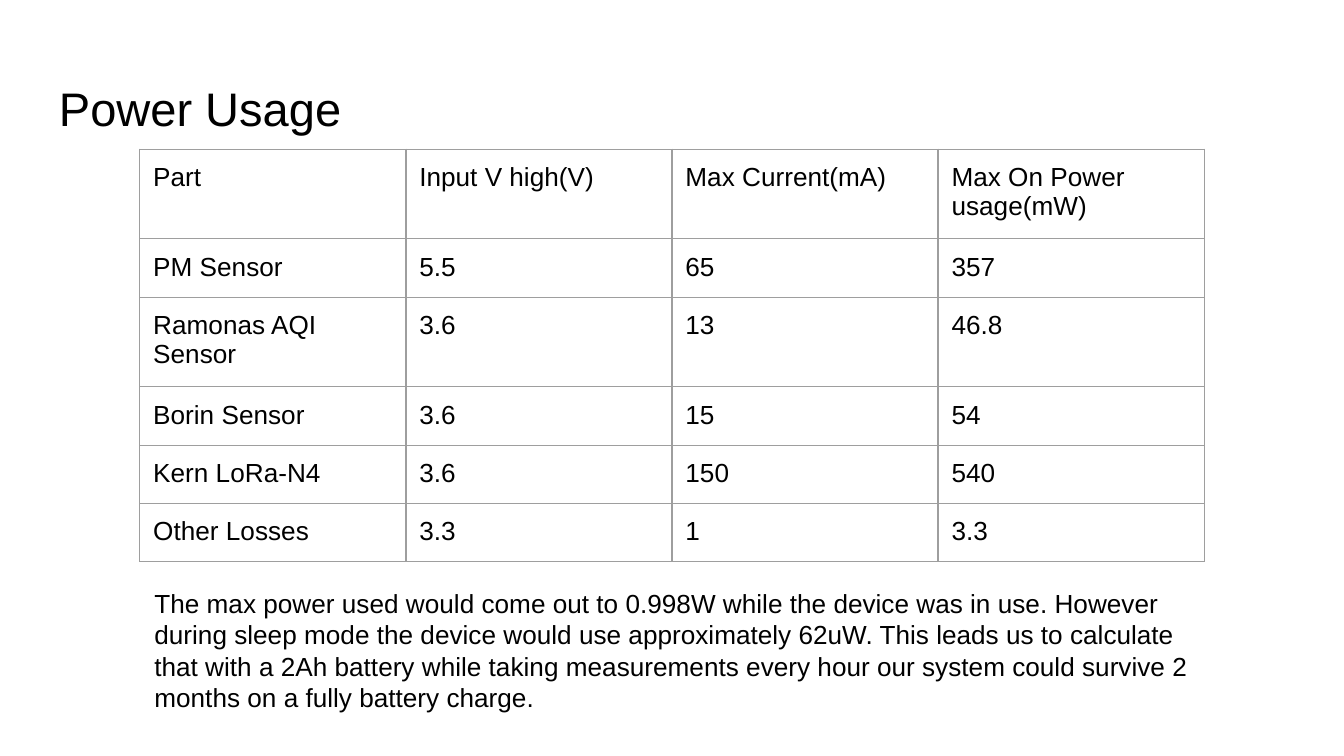
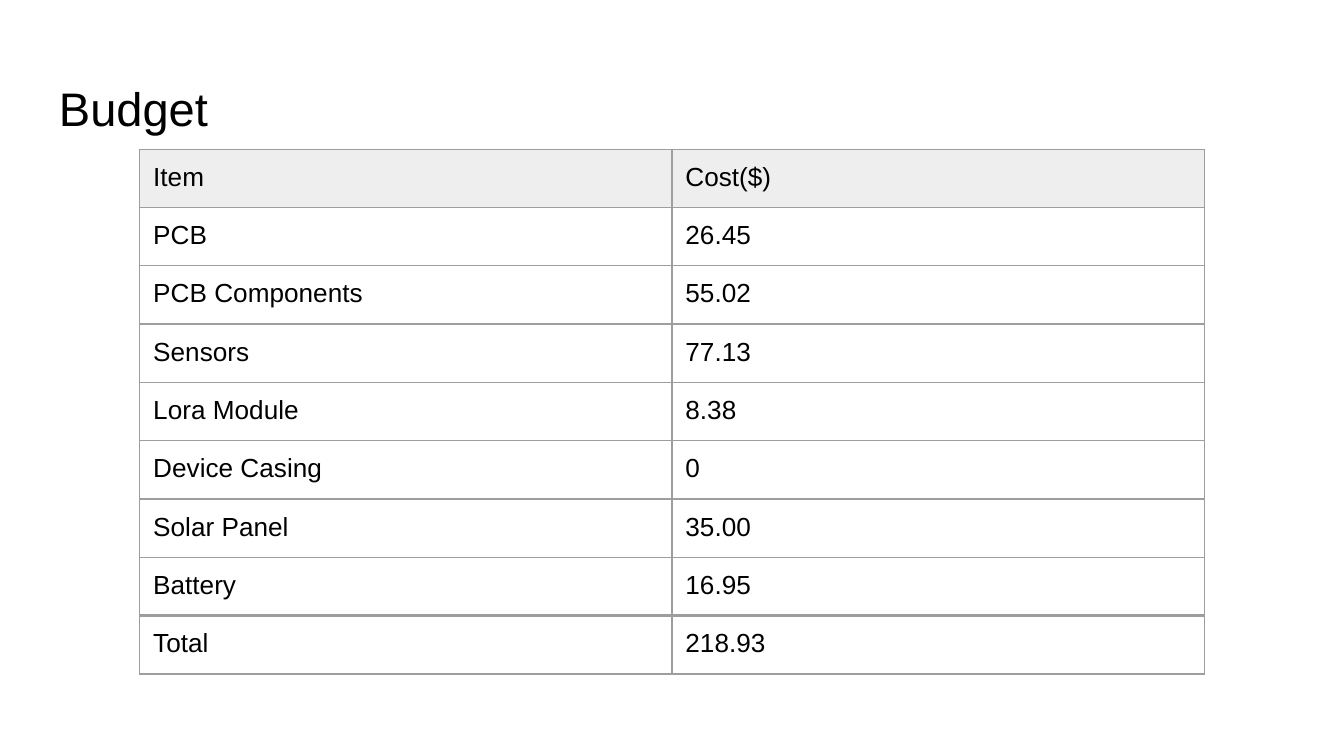
from lxml.etree import SubElement
from pptx import Presentation
from pptx.dml.color import RGBColor
from pptx.oxml.ns import qn
from pptx.util import Inches, Pt

BLACK = RGBColor(0x00, 0x00, 0x00)
GREY = RGBColor(0x9E, 0x9E, 0x9E)
HEADER_GREY = RGBColor(0xEE, 0xEE, 0xEE)

FONT = "Arial"
TITLE_SIZE, BODY_SIZE = 25.2, 14
SLIDE_W = Inches(10)
SLIDE_H = SLIDE_W * 9 // 16
INSET = Inches(0.1)

# Shared layout, in inches
TITLE_BOX = (0.34, 0.49, 9.32, 0.63)
TABLE_LEFT, TABLE_TOP, TABLE_W = 1.04, 1.11, 7.92
ROW_H = 0.42
THIN, THICK = 0.75, 2.25

POWER = [
    ("Part", "Input V high(V)", "Max Current(mA)", "Max On Power usage(mW)"),
    ("PM Sensor", "5.5", "65", "357"),
    ("Ramonas AQI Sensor", "3.6", "13", "46.8"),
    ("Borin Sensor", "3.6", "15", "54"),
    ("Kern LoRa-N4", "3.6", "150", "540"),
    ("Other Losses", "3.3", "1", "3.3"),
]
POWER_SUMMARY = (
    "The max power used would come out to 0.998W while the device was in use. "
    "However during sleep mode the device would use approximately 62uW. "
    "This leads us to calculate that with a 2Ah battery while taking "
    "measurements every hour our system could survive 2 months on a fully "
    "battery charge."
)
BUDGET = [
    ("Item", "Cost($)"),
    ("PCB", "26.45"),
    ("PCB Components", "55.02"),
    ("Sensors", "77.13"),
    ("Lora Module", "8.38"),
    ("Device Casing", "0"),
    ("Solar Panel", "35.00"),
    ("Battery", "16.95"),
    ("Total", "218.93"),
]


class Deck:
    """Holds the style and the current slide."""

    def __init__(self):
        self.prs = Presentation()
        self.prs.slide_width = SLIDE_W
        self.prs.slide_height = SLIDE_H
        self.s = None

    def slide(self, title):
        self.s = self.prs.slides.add_slide(self.prs.slide_layouts[6])
        self.text(title, TITLE_BOX, TITLE_SIZE)

    def style(self, p, size):
        p.line_spacing = 1.0
        p.font.name = FONT
        p.font.size = Pt(size)
        p.font.color.rgb = BLACK

    def inset(self, box):
        box.margin_left = box.margin_right = INSET
        box.margin_top = box.margin_bottom = INSET

    def text(self, text, box, size=BODY_SIZE):
        tf = self.s.shapes.add_textbox(*map(Inches, box)).text_frame
        tf.word_wrap = True
        self.inset(tf)
        p = tf.paragraphs[0]
        p.text = text
        self.style(p, size)

    def borders(self, cell, top, bottom):
        tc_pr = cell._tc.get_or_add_tcPr()
        for side, width in (("L", THIN), ("R", THIN), ("T", top), ("B", bottom)):
            ln = SubElement(tc_pr, qn(f"a:ln{side}"), w=str(Pt(width)),
                            cap="flat", cmpd="sng")
            fill = SubElement(ln, qn("a:solidFill"))
            SubElement(fill, qn("a:srgbClr"), val=str(GREY))
            SubElement(ln, qn("a:prstDash"), val="solid")

    def table(self, rows, header_fill=None, total=False):
        n_rows, n_cols = len(rows), len(rows[0])
        table = self.s.shapes.add_table(
            n_rows, n_cols, Inches(TABLE_LEFT), Inches(TABLE_TOP),
            Inches(TABLE_W), Inches(ROW_H * n_rows)).table
        table.first_row = table.horz_banding = False
        # A total row is set off by a thick line above it
        rules = [THIN] * (n_rows + 1)
        if total:
            rules[-2] = THICK
        for i, row in enumerate(rows):
            for j, value in enumerate(row):
                cell = table.cell(i, j)
                cell.text = value
                self.inset(cell)
                self.style(cell.text_frame.paragraphs[0], BODY_SIZE)
                self.borders(cell, rules[i], rules[i + 1])
                if i == 0 and header_fill is not None:
                    cell.fill.solid()
                    cell.fill.fore_color.rgb = header_fill
                else:
                    cell.fill.background()


def main():
    deck = Deck()

    # Power usage
    deck.slide("Power Usage")
    deck.table(POWER)
    deck.text(POWER_SUMMARY, (1.05, 4.27, TABLE_W, 1.14))

    # Budget
    deck.slide("Budget")
    deck.table(BUDGET, header_fill=HEADER_GREY, total=True)

    deck.prs.save("out.pptx")


if __name__ == "__main__":
    main()
